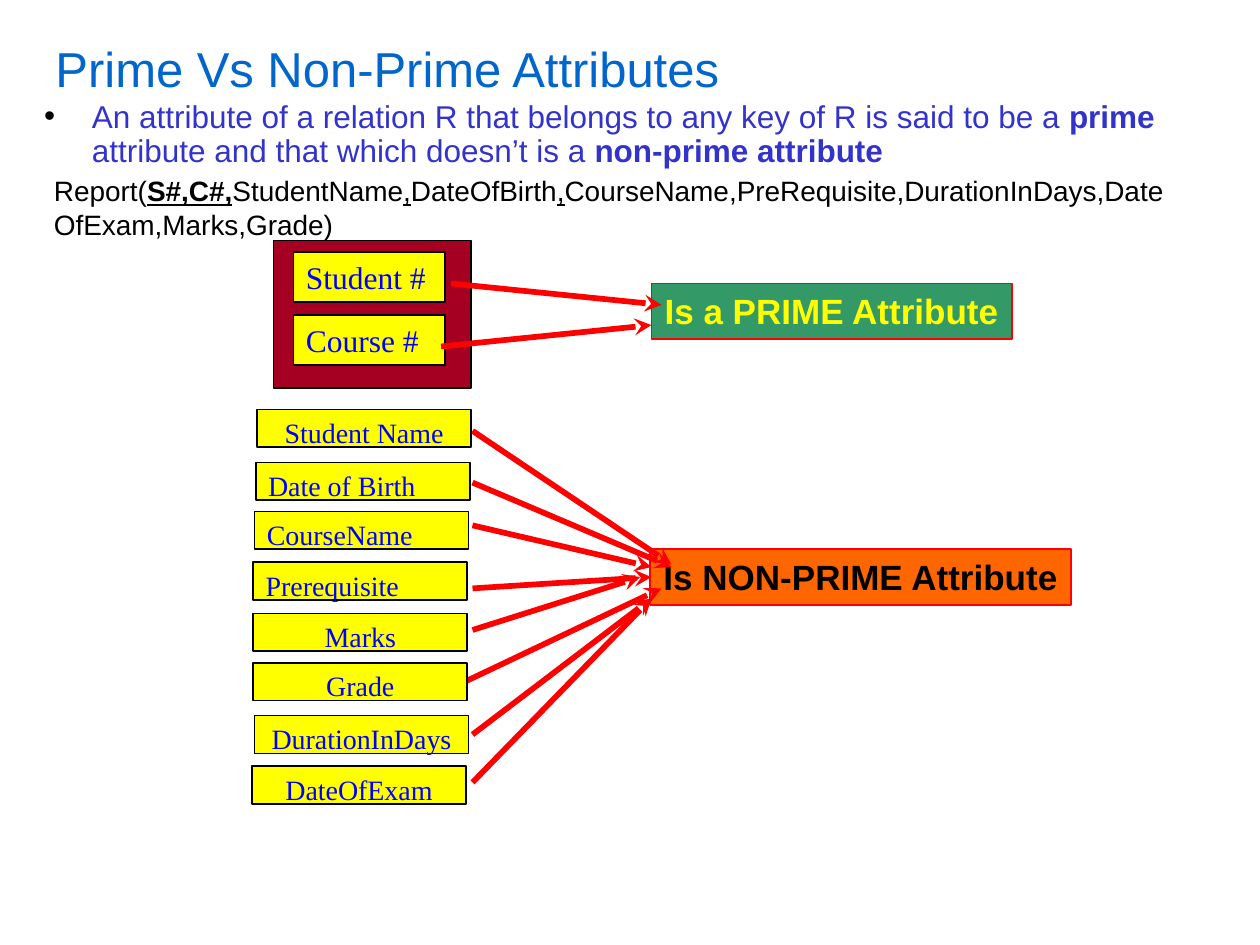
from lxml import etree
from pptx import Presentation
from pptx.dml.color import RGBColor
from pptx.enum.shapes import MSO_CONNECTOR, MSO_SHAPE
from pptx.enum.text import MSO_ANCHOR, MSO_AUTO_SIZE, PP_ALIGN
from pptx.oxml.ns import qn
from pptx.util import Inches, Pt

RECT = MSO_SHAPE.RECTANGLE
LINE = MSO_CONNECTOR.STRAIGHT
LEFT, MID = PP_ALIGN.LEFT, PP_ALIGN.CENTER
TOP, CENTRE = MSO_ANCHOR.TOP, MSO_ANCHOR.MIDDLE
NONE = MSO_AUTO_SIZE.NONE

BLACK = RGBColor(0x00, 0x00, 0x00)
SKY = RGBColor(0x00, 0x66, 0xCC)
INDIGO = RGBColor(0x33, 0x33, 0xCC)
BLUE = RGBColor(0x00, 0x00, 0xFF)
YELLOW = RGBColor(0xFF, 0xFF, 0x00)
MAROON = RGBColor(0xA5, 0x00, 0x21)
GREEN = RGBColor(0x33, 0x99, 0x66)
ORANGE = RGBColor(0xFF, 0x66, 0x00)
RED = RGBColor(0xFF, 0x00, 0x00)

KEYS = ["Student #", "Course #"]
KEY_RAYS = [(3.58, 2.25, 5.25, 2.42), (3.5, 2.75, 5.17, 2.58)]
FIELDS = [
    ("Student Name", 2.04, 3.25, MID),
    ("Date of Birth", 2.03, 3.67, LEFT),
    ("CourseName", 2.02, 4.06, LEFT),
    ("Prerequisite", 2.01, 4.46, LEFT),
    ("Marks", 2.01, 4.87, MID),
    ("Grade", 2.01, 5.26, MID),
    ("DurationInDays", 2.02, 5.68, MID),
    ("DateOfExam", 2, 6.08, MID),
]
FIELD_RAYS = [
    (3.75, 3.42, 5.33, 4.48),
    (3.75, 3.83, 5.33, 4.5),
    (3.75, 4.17, 5.17, 4.5),
    (3.75, 4.67, 5.17, 4.58),
    (3.75, 5, 5.08, 4.58),
    (3.67, 5.42, 5.25, 4.67),
    (3.75, 5.83, 5.17, 4.75),
    (3.75, 6.21, 5.17, 4.75),
]


def place(shape, box):
    """Move a placeholder to a box given in inches."""
    shape.left, shape.top, shape.width, shape.height = map(Inches, box)


def write(para, text, size, color, face="Arial", bold=False, under=False):
    """Add one formatted run to a paragraph."""
    run = para.add_run()
    run.text = text
    font = run.font
    font.name, font.size, font.bold, font.underline = face, Pt(size), bold, under
    font.color.rgb = color


def add_rect(slide, box, fill, edge=BLACK):
    """Add a flat outlined rectangle."""
    shape = slide.shapes.add_shape(RECT, *map(Inches, box))
    shape.shadow.inherit = False
    shape.fill.solid()
    shape.fill.fore_color.rgb = fill
    shape.line.color.rgb = edge
    shape.line.width = Pt(1)
    return shape


def add_label(slide, box, text, size, align):
    """Add a yellow attribute box with its name."""
    frame = add_rect(slide, box, YELLOW).text_frame
    frame.vertical_anchor = TOP
    frame.word_wrap = True
    para = frame.paragraphs[0]
    para.alignment = align
    write(para, text, size, BLUE, "Times New Roman")


def add_verdict(slide, box, text, fill, color):
    """Add a bold box that names the kind of attribute."""
    frame = add_rect(slide, box, fill, RED).text_frame
    frame.vertical_anchor = TOP
    frame.word_wrap = False
    para = frame.paragraphs[0]
    para.alignment = MID
    write(para, text, 20, color, bold=True)


def add_arrows(slide, rays):
    """Add red arrows, each given as start and end points."""
    for ray in rays:
        arrow = slide.shapes.add_connector(LINE, *map(Inches, ray))
        arrow.line.color.rgb = RED
        arrow.line.width = Pt(3.25)
        props = arrow._element.spPr
        etree.SubElement(props.find(qn("a:ln")), qn("a:tailEnd"), type="stealth")
        etree.SubElement(props, qn("a:effectLst"))


def fill_title(slide, box):
    """Set the slide title."""
    title = slide.shapes.title
    place(title, box)
    frame = title.text_frame
    frame.auto_size = NONE
    frame.vertical_anchor = CENTRE
    para = frame.paragraphs[0]
    para.alignment = LEFT
    write(para, "Prime Vs Non-Prime Attributes", 28, SKY)


def fill_body(slide, box):
    """Set the bulleted definition."""
    body = slide.placeholders[1]
    place(body, box)
    frame = body.text_frame
    frame.auto_size = NONE
    para = frame.paragraphs[0]
    props = para._p.get_or_add_pPr()
    props.set("marL", str(Inches(0.38)))
    props.set("indent", str(-Inches(0.38)))
    tint = etree.SubElement(props, qn("a:buClr"))
    etree.SubElement(tint, qn("a:srgbClr"), val=str(BLACK))
    etree.SubElement(props, qn("a:buFont"), typeface="Arial")
    etree.SubElement(props, qn("a:buChar"), char="•")
    para.line_spacing = 0.9
    para.space_before = Pt(0)
    for text, bold in [
        ("An attribute of a relation R that belongs to any key of R is said to be a ", False),
        ("prime", True),
        (" attribute and that which doesn’t is a ", False),
        ("non-prime attribute", True),
    ]:
        write(para, text, 18, INDIGO, bold=bold)


def add_schema(slide, box):
    """Add the relation with its key underlined."""
    frame = slide.shapes.add_textbox(*map(Inches, box)).text_frame
    frame.word_wrap = True
    para = frame.paragraphs[0]
    for text, bold, under in [
        ("Report(", False, False),
        ("S#,C#,", True, True),
        ("StudentName", False, False),
        (",", False, True),
        ("DateOfBirth", False, False),
        (",", False, True),
        ("CourseName,PreRequisite,DurationInDays,DateOfExam,Marks,Grade)", False, False),
    ]:
        write(para, text, 16, BLACK, bold=bold, under=under)


def add_prime(slide, box):
    """Add the key attributes inside a frame, linked to their verdict."""
    left, top = box[:2]
    add_rect(slide, box, MAROON)
    for i, name in enumerate(KEYS):
        add_label(slide, (left + 0.16, top + 0.09 + 0.5 * i, 1.2, 0.4), name, 18, LEFT)
    add_verdict(slide, (5.17, 2.25, 2.86, 0.44), "Is a PRIME Attribute", GREEN, YELLOW)
    add_arrows(slide, KEY_RAYS)


def add_nonprime(slide, box):
    """Add the other attributes, linked to the verdict in the box."""
    add_verdict(slide, box, "Is NON-PRIME Attribute", ORANGE, BLACK)
    add_arrows(slide, FIELD_RAYS)
    for name, left, top, align in FIELDS:
        add_label(slide, (left, top, 1.7, 0.3), name, 16, align)


def main():
    """Build and save the slide."""
    deck = Presentation()
    deck.slide_width, deck.slide_height = Inches(10), Inches(7.5)
    slide = deck.slides.add_slide(deck.slide_layouts[1])
    fill_title(slide, (0.34, 0.26, 9.38, 0.56))
    fill_body(slide, (0.25, 0.75, 9.08, 0.64))
    add_schema(slide, (0.33, 1.33, 9.02, 0.63))
    add_prime(slide, (2.17, 1.91, 1.57, 1.17))
    add_nonprime(slide, (5.16, 4.36, 3.34, 0.44))
    deck.save("out.pptx")


if __name__ == "__main__":
    main()
